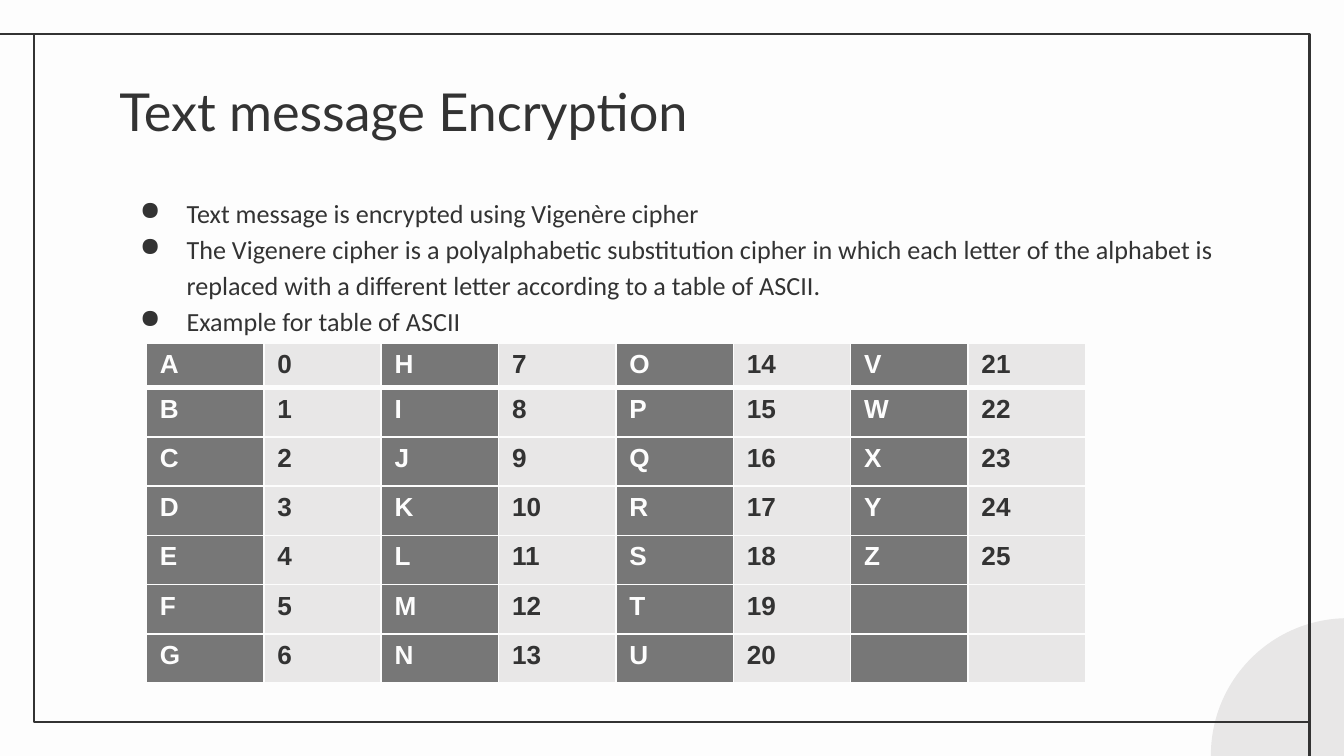
import pptx
import pptx.util
import pptx.dml.color
import pptx.enum.shapes
import pptx.oxml.ns
from lxml import etree

Pt = pptx.util.Pt
qn = pptx.oxml.ns.qn
DARK, GREY, PALE, PAPER = "333333", "777777", "E8E7E7", "FDFDFD"


def color(value):
    return pptx.dml.color.RGBColor.from_string(value)


def add_run(p, text, font, size, value, bold=False):
    r = p.add_run()
    r.text = text
    r.font.name = font
    r.font.size = Pt(size)
    r.font.bold = bold
    r.font.color.rgb = color(value)


prs = pptx.Presentation()
prs.slide_width, prs.slide_height = Pt(720), Pt(405)
s = prs.slides.add_slide(prs.slide_layouts[6])
s.background.fill.solid()
s.background.fill.fore_color.rgb = color(PAPER)

# Corner circle
shapes = pptx.enum.shapes.MSO_SHAPE
sp = s.shapes.add_shape(shapes.OVAL, Pt(648.7), Pt(331.2), Pt(146.9), Pt(146.9))
sp.shadow.inherit = False
sp.fill.solid()
sp.fill.fore_color.rgb = color(PALE)
sp.line.fill.background()

# Frame with two lines running off the slide
sp = s.shapes.add_shape(shapes.RECTANGLE, Pt(18.2), Pt(18.2), Pt(683.3), Pt(368.6))
sp.shadow.inherit = False
sp.fill.background()
sp.line.color.rgb = color(DARK)
sp.line.width = Pt(1.5)
for x1, y1, x2, y2 in [(18.7, 18.2, -1.4, 18.2), (701.7, 387, 701.7, 414)]:
    line = s.shapes.add_connector(
        pptx.enum.shapes.MSO_CONNECTOR.STRAIGHT, Pt(x1), Pt(y1), Pt(x2), Pt(y2))
    line.line.color.rgb = color(DARK)
    line.line.width = Pt(1.5)
    etree.SubElement(line.element.spPr, qn("a:effectLst"))

# Title and body boxes
frames = []
for top, height in [(35.3, 45.4), (95.8, 270)]:
    sp = s.shapes.add_textbox(Pt(56.9), Pt(top), Pt(607), Pt(height))
    tf = sp.text_frame
    tf.word_wrap = True
    tf.margin_left = tf.margin_right = tf.margin_top = tf.margin_bottom = Pt(7.2)
    frames.append(tf)
title, body = frames
add_run(title.paragraphs[0], "Text message Encryption", "Lato", 28, DARK)

# Bullets
bullets = [
    "Text message is encrypted using Vigenère cipher",
    "The Vigenere cipher is a polyalphabetic substitution cipher in which each letter "
    "of the alphabet is replaced with a different letter according to a table of ASCII.",
    "Example for table of ASCII",
]
for i, text in enumerate(bullets):
    p = body.add_paragraph() if i else body.paragraphs[0]
    p.line_spacing = 1.15
    pPr = p._p.get_or_add_pPr()
    pPr.set("marL", str(Pt(36)))
    pPr.set("indent", str(-Pt(25)))
    bu_color = etree.SubElement(pPr, qn("a:buClr"))
    etree.SubElement(bu_color, qn("a:srgbClr"), val=DARK)
    etree.SubElement(pPr, qn("a:buChar"), char="●")
    add_run(p, text, "Calibri", 14, DARK)

# Letter table: letters run down the columns, each beside its number
ROWS, COLS = 7, 8
frame = s.shapes.add_table(ROWS, COLS, Pt(78.5), Pt(183.6), Pt(503.2), Pt(182.2))
table = frame.table
for column in table.columns:
    column.width = Pt(62.9)
for i, row in enumerate(table.rows):
    row.height = Pt(26.4 if i else 13.7)
    for j, cell in enumerate(row.cells):
        # Borders, thicker under the first row
        tcPr = cell._tc.get_or_add_tcPr()
        for side in ("L", "R", "T", "B"):
            thick = (i, side) in [(0, "B"), (1, "T")]
            ln = etree.SubElement(tcPr, qn("a:ln" + side), w=str(Pt(3 if thick else 1)))
            fill = etree.SubElement(ln, qn("a:solidFill"))
            etree.SubElement(fill, qn("a:srgbClr"), val=PAPER)
        is_letter = j % 2 == 0
        cell.fill.solid()
        cell.fill.fore_color.rgb = color(GREY if is_letter else PALE)

        number = j // 2 * ROWS + i
        p = cell.text_frame.paragraphs[0]
        if number < 26:
            text = chr(ord("A") + number) if is_letter else str(number)
            add_run(p, text, "Arial", 14, PAPER if is_letter else DARK, True)
        else:
            etree.SubElement(p._p, qn("a:endParaRPr"), sz="1400")

prs.save("out.pptx")
